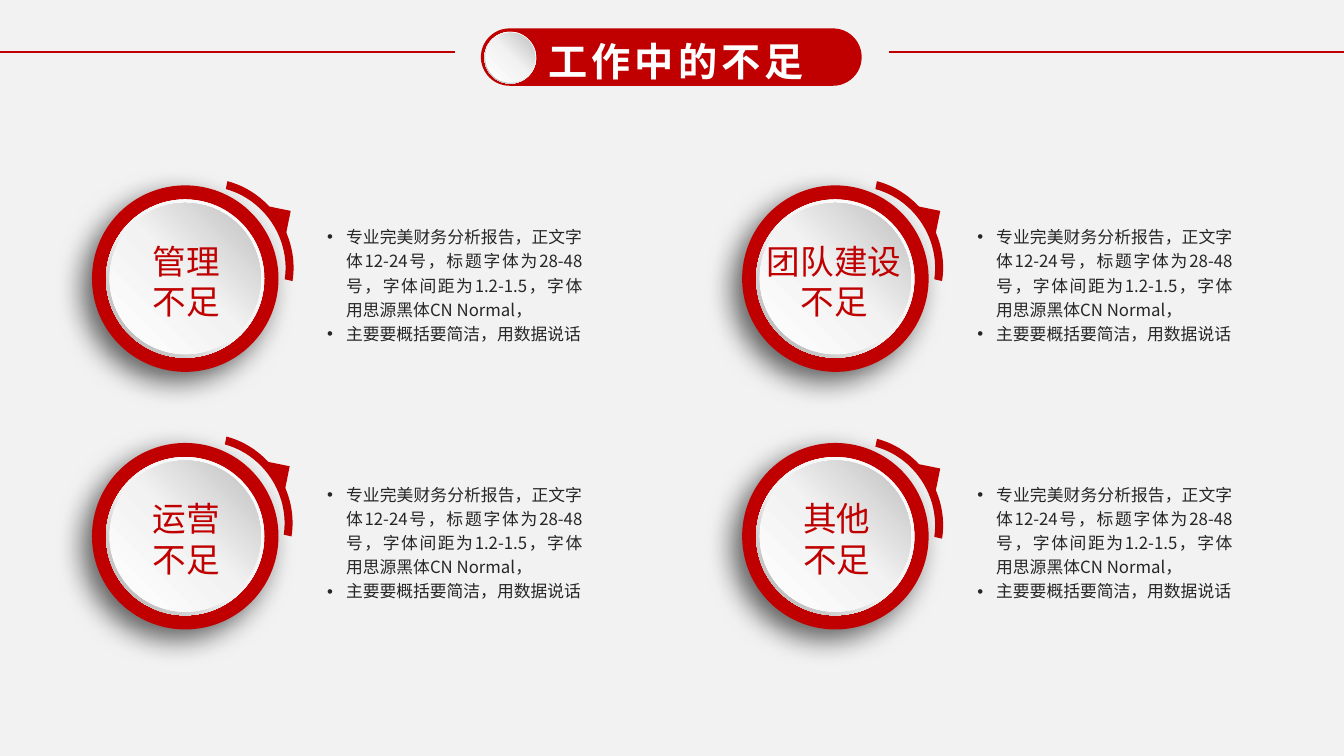
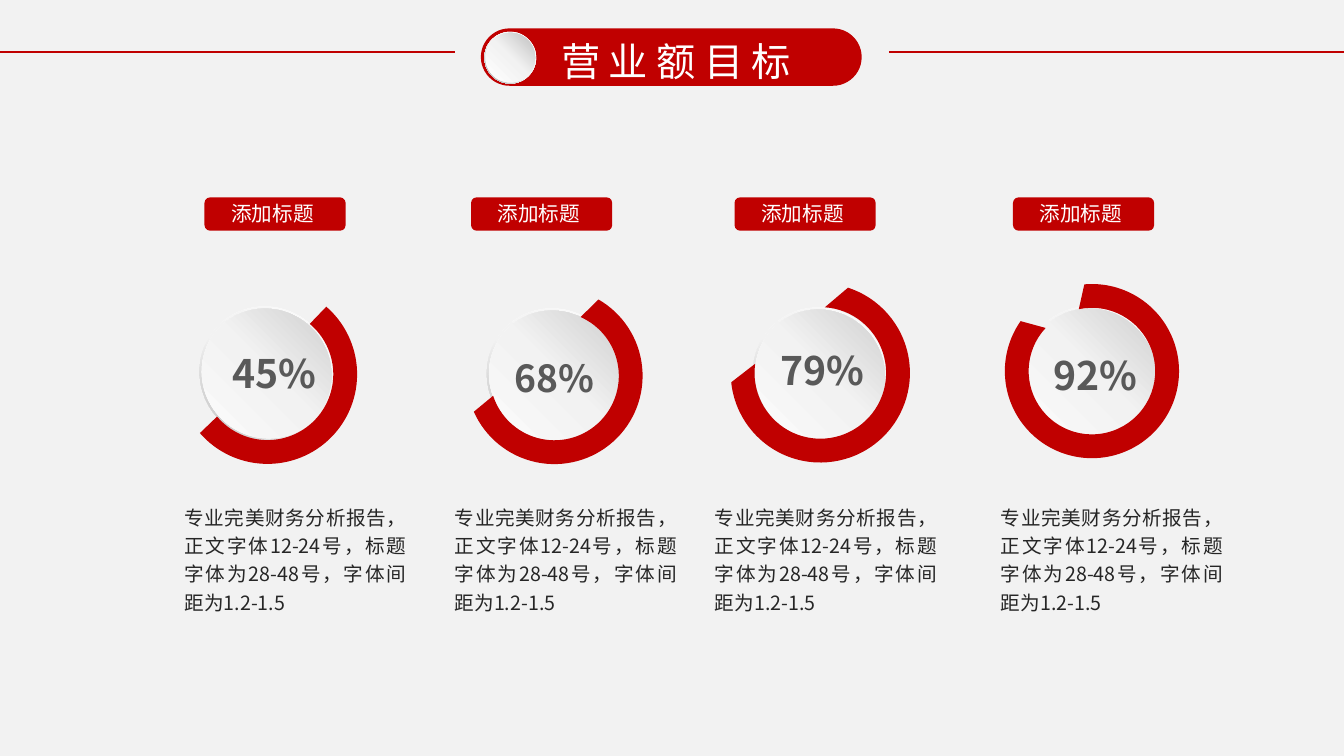
from dataclasses import dataclass
from math import cos, radians, sin, tan

from lxml import etree
from pptx import Presentation
from pptx.dml.color import RGBColor
from pptx.enum import shapes, text
from pptx.oxml import ns, parse_xml
from pptx.util import Pt

KIND = shapes.MSO_SHAPE
ALIGN = text.PP_ALIGN


@dataclass(frozen=True)
class Theme:
    font: str = "Noto Sans CJK SC"
    page: str = "F2F2F2"
    red: str = "C00000"
    white: str = "FFFFFF"
    ink: str = "262626"
    grey: str = "595959"
    title_size: float = 28
    topic_size: float = 24
    badge_size: float = 14.7
    list_size: float = 12
    body_size: float = 14
    # Rim and face of a disc: middle stop, dark end, angle
    disc: tuple = ((55, "A6A6A6", 135), (51, "BFBFBF", 315))


THEME = Theme()


def draw(slide, kind, left, top, width, height, *fills, rotation=0, inset=0.0):
    """Add one shape per fill, each a little inside the one before."""
    for layer, fill in enumerate(fills):
        gap = layer * inset
        shape = slide.shapes.add_shape(kind, Pt(left + gap), Pt(top + gap),
                                       Pt(width - 2 * gap), Pt(height - 2 * gap))
        shape.rotation = rotation
        shape.shadow.inherit = False
        shape.line.fill.background()
        if isinstance(fill, str):
            shape.fill.solid()
            shape.fill.fore_color.rgb = RGBColor.from_string(fill)
        else:
            middle, dark, angle = fill
            stops = "".join(
                f'<a:gs pos="{pos * 1000}"><a:srgbClr val="{color}"/></a:gs>'
                for pos, color in ((0, THEME.white), (middle, THEME.page), (100, dark)))
            shape.fill.background()
            no_fill = shape._element.spPr.find(ns.qn("a:noFill"))
            no_fill.getparent().replace(no_fill, parse_xml(
                f'<a:gradFill {ns.nsdecls("a")} rotWithShape="0"><a:gsLst>{stops}</a:gsLst>'
                f'<a:lin ang="{angle * 60000}" scaled="0"/></a:gradFill>'))
    return shape


def write(slide, left, top, width, height, lines, size, color, align=ALIGN.LEFT,
          bold=False, tracking=0, spacing=None, bullets=False, wrap=True):
    """Add a text box, one paragraph per line."""
    frame = slide.shapes.add_textbox(Pt(left), Pt(top), Pt(width), Pt(height)).text_frame
    frame.word_wrap = wrap
    for index, line in enumerate(lines):
        paragraph = frame.add_paragraph() if index else frame.paragraphs[0]
        if bullets:
            props = paragraph._p.get_or_add_pPr()
            props.set("marL", str(Pt(13.5)))
            props.set("indent", str(-Pt(13.5)))
            etree.SubElement(props, ns.qn("a:buFont")).set("typeface", "Arial")
            etree.SubElement(props, ns.qn("a:buChar")).set("char", "•")
        paragraph.alignment = align
        if spacing:
            paragraph.line_spacing = spacing
        run = paragraph.add_run()
        run.text = line
        run.font.size = Pt(size)
        run.font.bold = bold
        run.font.color.rgb = RGBColor.from_string(color)
        run.font.name = THEME.font
        run_props = run.font._element
        etree.SubElement(run_props, ns.qn("a:ea")).set("typeface", THEME.font)
        if tracking:
            run_props.set("spc", str(tracking * 100))


deck = Presentation()
deck.slide_width, deck.slide_height = Pt(960), Pt(540)

# Shared page: background, title pill with disc, rules on both sides
pages = []
for title, bold, tracking in (("工作中的不足", True, 3), ("营业额目标", False, 6)):
    page = deck.slides.add_slide(deck.slide_layouts[6])
    pages.append(page)
    page.background.fill.solid()
    page.background.fill.fore_color.rgb = RGBColor.from_string(THEME.page)
    for start, end in ((0, 325), (635, 960)):
        rule = page.shapes.add_connector(shapes.MSO_CONNECTOR.STRAIGHT,
                                         Pt(start), Pt(37.2), Pt(end), Pt(37.2))
        rule.line.color.rgb = RGBColor.from_string(THEME.red)
        rule.line.width = Pt(1.5)
        etree.SubElement(rule._element.spPr, ns.qn("a:effectLst"))
    pill = draw(page, KIND.ROUNDED_RECTANGLE, 343.5, 20.3, 272, 41, THEME.red)
    pill.adjustments[0] = 0.5
    write(page, 347, 23, 272, 41, [title], THEME.title_size, THEME.white,
          ALIGN.CENTER, bold, tracking)
    draw(page, KIND.OVAL, 346, 22.7, 37, 37, *THEME.disc, inset=0.8)
shortcomings, targets = pages

# Shortcomings: a two by two grid of round topics with their points
POINTS = ["专业完美财务分析报告，正文字体12-24号，标题字体为28-48号，字体间距为1.2-1.5，"
          "字体用思源黑体CN Normal，",
          "主要要概括要简洁，用数据说话"]
# topic, box width, shift of its centre, shift of its arrow
TOPICS = (("管理", 75, 0.9, (0, 0)), ("团队建设", 114.4, -0.9, (-0.4, 0)),
          ("运营", 75, 0.9, (-0.7, -1.6)), ("其他", 75, 0.9, (-0.4, 0)))
for index, (topic, name_width, name_shift, (arrow_x, arrow_y)) in enumerate(TOPICS):
    row, column = divmod(index, 2)
    x, y = 132.3 + column * 464.4, 199 + row * 184

    # Curved arrow behind the topic
    arc = draw(shortcomings, KIND.BLOCK_ARC, x - 42.3 + arrow_x, y - 68.7 + arrow_y,
               122.4, 114.5, THEME.red, rotation=56.5)
    for position, value in enumerate((134.65, 189.86, 0.05)):
        arc.adjustments[position] = value
    draw(shortcomings, KIND.RIGHT_TRIANGLE, x + 54.2 + arrow_x, y - 50.5 + arrow_y,
         19.4, 19.4, THEME.red, rotation=191.5)

    # Red plate with shadow, then the disc
    plate = draw(shortcomings, KIND.OVAL, x - 66.6, y - 66.6, 133.2, 133.2, THEME.red)
    effects = plate._element.spPr.find(ns.qn("a:effectLst"))
    effects.append(parse_xml(
        f'<a:outerShdw {ns.nsdecls("a")} blurRad="{Pt(20)}" dist="{Pt(10)}" dir="8100000"'
        ' algn="tr" rotWithShape="0"><a:srgbClr val="000000"><a:alpha val="60000"/>'
        '</a:srgbClr></a:outerShdw>'))
    draw(shortcomings, KIND.DONUT, x - 56.5, y - 56.5, 113, 113, THEME.disc[0])
    draw(shortcomings, KIND.OVAL, x - 54, y - 54, 108, 108, THEME.disc[1])

    write(shortcomings, x + name_shift - name_width / 2, y - 30.7, name_width, 65.5,
          [topic, "不足"], THEME.topic_size, THEME.red, ALIGN.CENTER)
    write(shortcomings, x + 94.3, y - 43.3, 196.5, 93.6, POINTS, THEME.list_size, THEME.ink,
          ALIGN.JUSTIFY, spacing=1.2, bullets=True)

# Targets: badge, ring gauge and text in four columns
# share, size, share left and top, badge left, text left, disc left and top, ring centre,
# radius, outer start and end angle, inner start and end angle (clockwise from the right)
GAUGES = (
    ("45%", 28, 158.8, 245.8, 146.1, 124.7, (143.3, 218.2), (191.1, 267.4), 64,
     (-49, 139), (-50, 140)),
    ("68%", 26.6, 360.3, 250.4, 336.5, 317.8, (348.5, 219.6), (396, 268.5), 63,
     (-60, 156), (-66, 162)),
    ("79%", 28, 550.4, 243.5, 524.7, 503.6, (538.6, 218.9), (586, 266.4), 64,
     (-72, 174), (-86, 188)),
    ("92%", 28, 745.3, 247.7, 723.6, 707.8, (732.2, 218.2), (780, 265.1), 62.2,
     (-95, 215), (-102, 223)),
)
BAND = 17
PIECES = 4
BODY = "专业完美财务分析报告，正文字体12-24号，标题字体为28-48号，字体间距为1.2-1.5"
for (share, size, share_left, share_top, badge_left, body_left, (disc_left, disc_top),
     (x, y), radius, outer, inner) in GAUGES:
    draw(targets, KIND.DONUT, disc_left, disc_top, 94.3, 97.2, THEME.disc[0], rotation=315)
    draw(targets, KIND.OVAL, disc_left + 1.5, disc_top + 1.6, 91.3, 94, THEME.disc[1],
         rotation=315)

    # Ring outline: anchors and curve handles, outer edge forwards, inner edge back
    edge = []
    for reach, first, last in ((radius, *outer), (radius - BAND, *inner[::-1])):
        sweep = radians(last - first) / PIECES
        handle = 4 / 3 * tan(sweep / 4)
        edge.append((reach * cos(radians(first)), reach * sin(radians(first))))
        for piece in range(PIECES):
            start = radians(first) + piece * sweep
            end = start + sweep
            edge += [(reach * (cos(start) - handle * sin(start)),
                      reach * (sin(start) + handle * cos(start))),
                     (reach * (cos(end) + handle * sin(end)),
                      reach * (sin(end) - handle * cos(end))),
                     (reach * cos(end), reach * sin(end))]
    edge = [(Pt(x + across), Pt(y + down)) for across, down in edge]
    outline = targets.shapes.build_freeform(*edge[0])
    outline.add_line_segments(edge[1:], close=True)
    ring = outline.convert_to_shape()
    ring.shadow.inherit = False
    ring.line.fill.background()
    ring.fill.solid()
    ring.fill.fore_color.rgb = RGBColor.from_string(THEME.red)

    # Turn each run of two handles and an anchor into one curve
    segments = list(ring._element.iter(ns.qn("a:lnTo")))
    for edge_start in (0, 3 * PIECES + 1):
        for first in range(edge_start, edge_start + 3 * PIECES, 3):
            curve = etree.Element(ns.qn("a:cubicBezTo"))
            segments[first].addprevious(curve)
            for segment in segments[first:first + 3]:
                curve.append(segment[0])
                segment.getparent().remove(segment)

    write(targets, share_left, share_top, 87, 41, [share], size, THEME.grey, bold=True)
    draw(targets, KIND.FLOWCHART_ALTERNATE_PROCESS, badge_left, 141, 100.8, 23.8, THEME.red)
    write(targets, badge_left + 11.8, 139.7, 73.4, 25.2, ["添加标题"], THEME.badge_size,
          THEME.white, ALIGN.CENTER, wrap=False)
    write(targets, body_left, 354.5, 172.8, 87.1, [BODY], THEME.body_size, THEME.ink,
          ALIGN.JUSTIFY, spacing=1.2)

deck.save("out.pptx")
